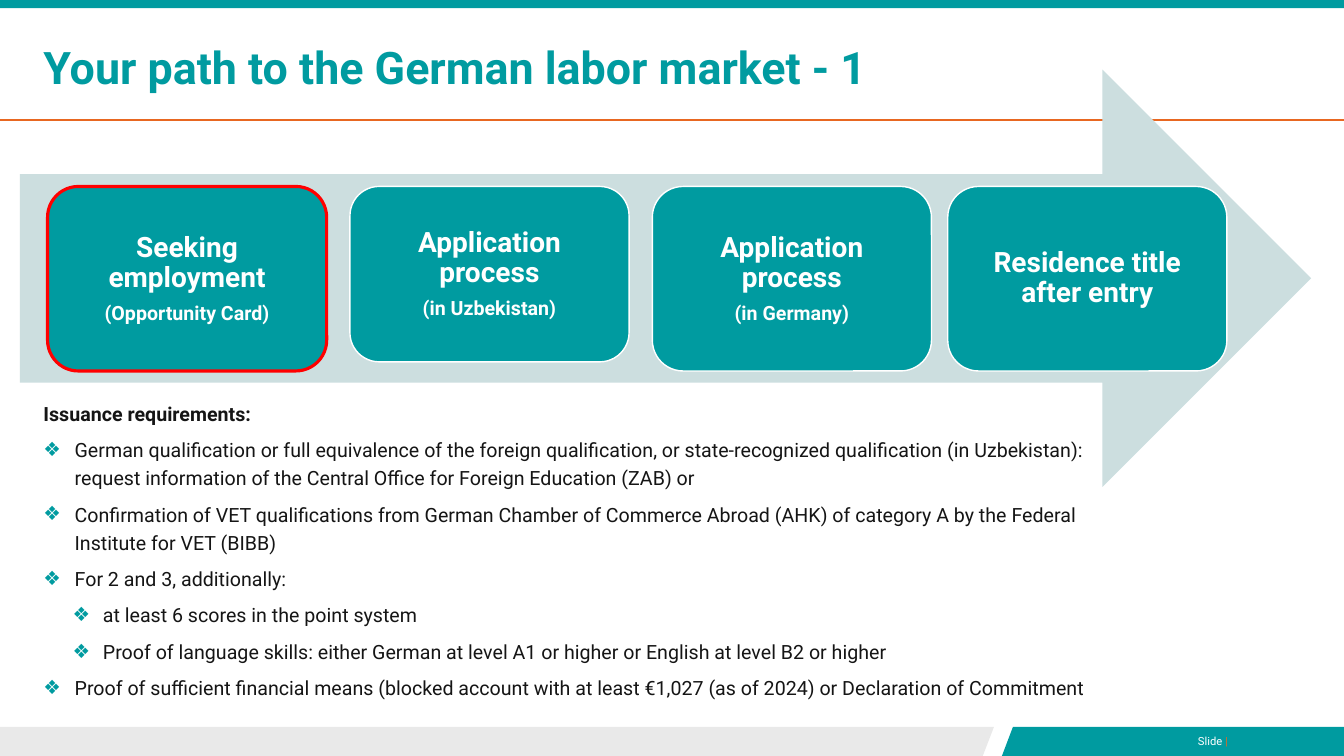
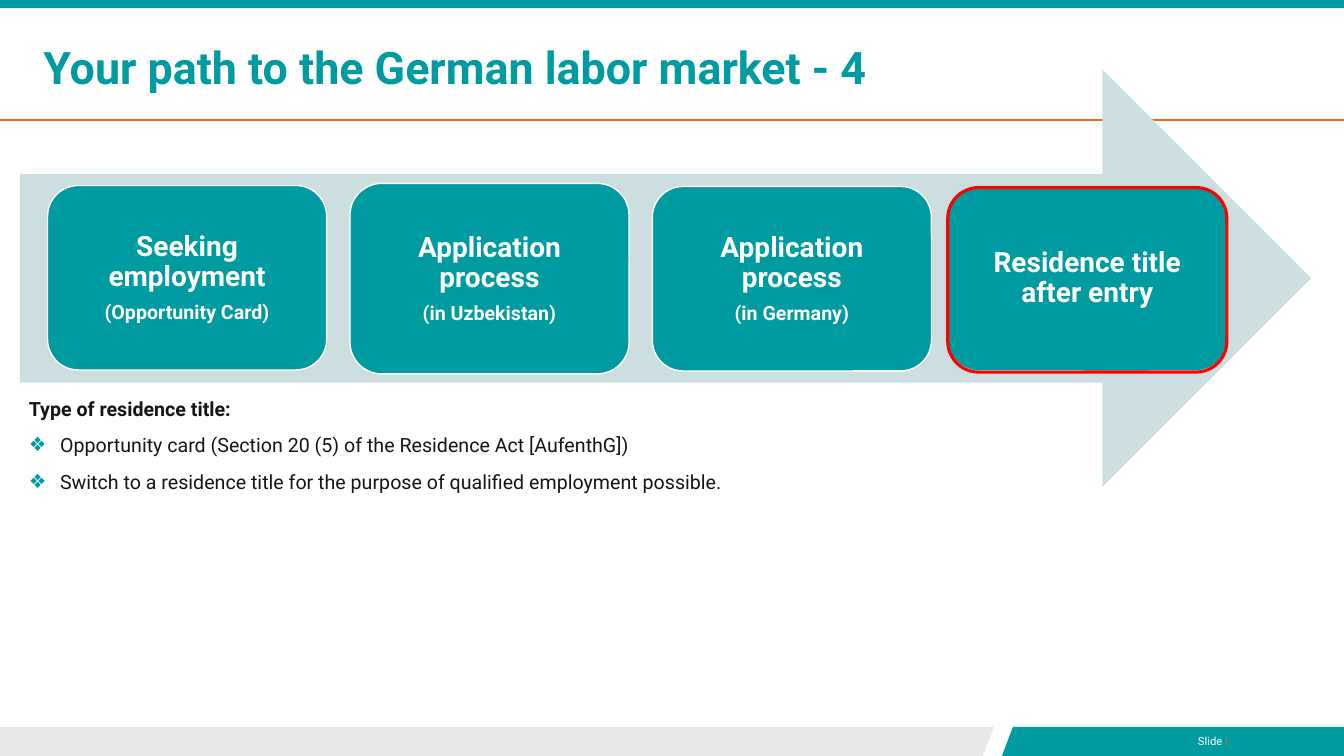
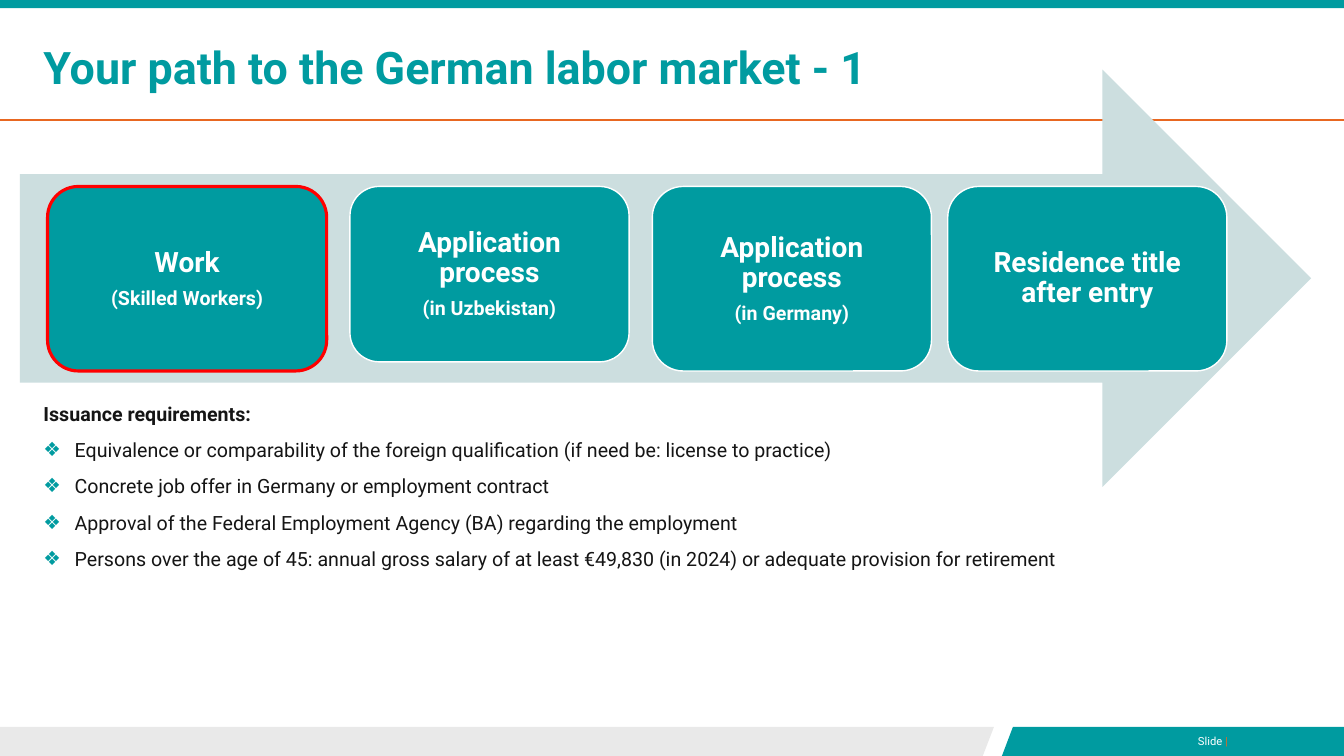
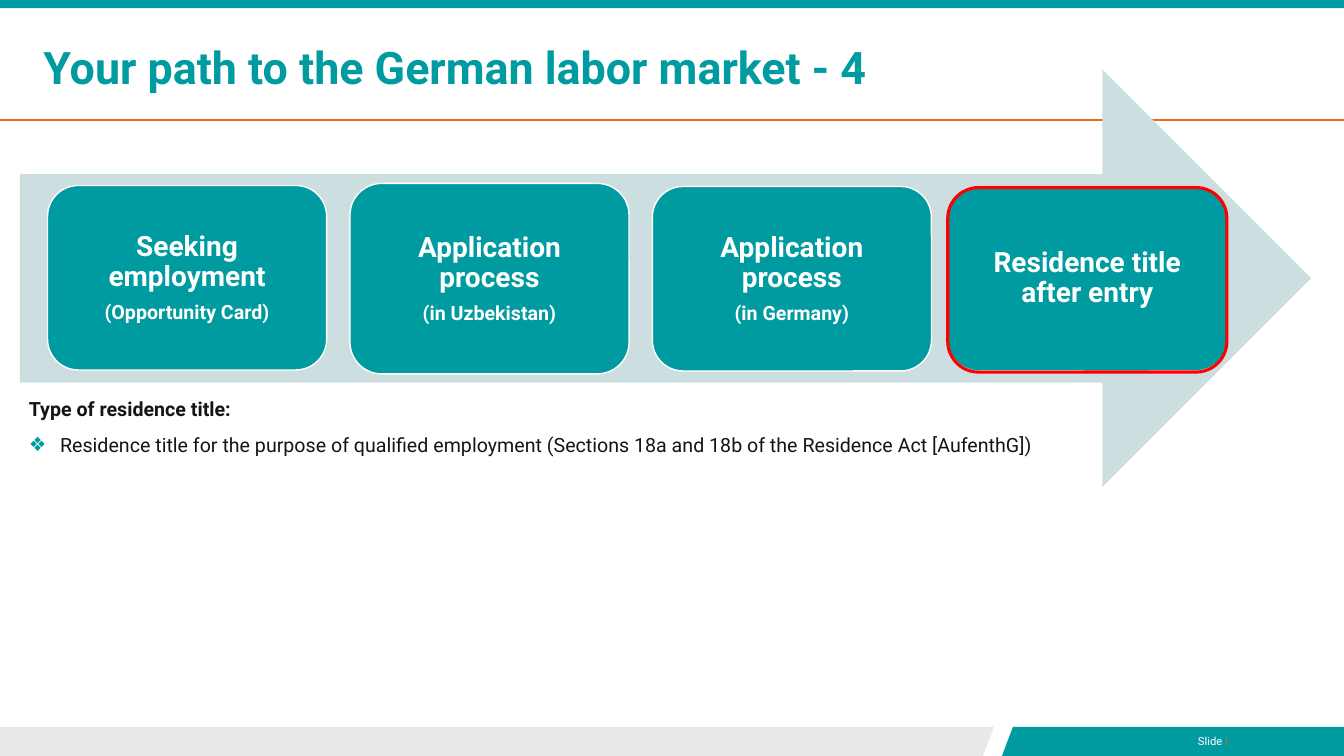
import dataclasses

import lxml.etree
import pptx
import pptx.dml.color
import pptx.enum.shapes
import pptx.enum.text
import pptx.oxml.ns
import pptx.util

Pt = pptx.util.Pt
qn = pptx.oxml.ns.qn
SHAPE = pptx.enum.shapes.MSO_SHAPE
ALIGN = pptx.enum.text.PP_ALIGN
ANCHOR = pptx.enum.text.MSO_ANCHOR
AUTO = pptx.enum.text.MSO_AUTO_SIZE


@dataclasses.dataclass(frozen=True)
class Theme:
    font: str = "Roboto"
    teal: str = "009BA0"
    orange: str = "E86721"
    pale: str = "CCDEDF"
    grey: str = "E9E9E9"
    white: str = "FFFFFF"
    ink: str = "151515"
    red: str = "FF0000"
    title: int = 32
    step: int = 20
    body: int = 14
    small: int = 8


T = Theme()
W, H = 960, 540

# Content: each step is (heading, note)
SEEKING = ("Seeking employment", "(Opportunity Card)")
WORK = ("Work", "(Skilled Workers)")
LATER_STEPS = [
    ("Application process", "(in Uzbekistan)"),
    ("Application process", "(in Germany)"),
    ("Residence title after entry", None),
]

# Body items are (level, text); "stage" names the step that is marked
SLIDES = [
    dict(stage="first", step=SEEKING, heading="Issuance requirements:", height=244, items=[
        (0, "German qualification or full equivalence of the foreign qualification, or "
            "state-recognized qualification (in Uzbekistan): request information of the "
            "Central Office for Foreign Education (ZAB) or"),
        (0, "Confirmation of VET qualifications from German Chamber of Commerce Abroad (AHK) "
            "of category A by the Federal Institute for VET (BIBB)"),
        (0, "For 2 and 3, additionally:"),
        (1, "at least 6 scores in the point system"),
        (1, "Proof of language skills: either German at level A1 or higher or English at "
            "level B2 or higher"),
        (0, "Proof of sufficient financial means (blocked account with at least €1,027 "
            "(as of 2024) or Declaration of Commitment"),
    ]),
    dict(stage="last", step=SEEKING, heading="Type of residence title:", height=78.5, items=[
        (0, "Opportunity card (Section 20 (5) of the Residence Act [AufenthG])"),
        (0, "Switch to a residence title for the purpose of qualified employment possible."),
    ]),
    dict(stage="first", step=WORK, heading="Issuance requirements:", height=131, items=[
        (0, "Equivalence or comparability of the foreign qualification (if need be: license "
            "to practice)"),
        (0, "Concrete job offer in Germany or employment contract"),
        (0, "Approval of the Federal Employment Agency (BA) regarding the employment"),
        (0, "Persons over the age of 45: annual gross salary of at least €49,830 (in 2024) "
            "or adequate provision for retirement"),
    ]),
    dict(stage="last", step=SEEKING, heading="Type of residence title:", height=52, items=[
        (0, "Residence title for the purpose of qualified employment (Sections 18a and 18b "
            "of the Residence Act [AufenthG])"),
    ]),
]

# Geometry
STEP_LEFT = [34, 250, 466, 677]
STEP_W, STEP_TOP, STEP_H = 199.4, 133.2, 131.8
STAGES = {
    "first": dict(number=1, marked=0, mark_top=STEP_TOP, body=(23.8, 280, 780),
                  tops={}, heights={1: 125.3}),
    "last": dict(number=4, marked=3, mark_top=134, body=(13.4, 276.5, 774),
                 tops={0: 132.5, 1: 131}, heights={1: 136.1}),
}
INDENTS = [(22.3, -22.3), (42.5, -21.6)]


def rgb(code):
    return pptx.dml.color.RGBColor.from_string(code)


def box(x, y, w, h):
    return [Pt(v) for v in (x, y, w, h)]


def style(sp, fill=None, line=None, width=1):
    sp.shadow.inherit = False
    if fill:
        sp.fill.solid()
        sp.fill.fore_color.rgb = rgb(fill)
    else:
        sp.fill.background()
    if line:
        sp.line.color.rgb = rgb(line)
        sp.line.width = Pt(width)
    else:
        sp.line.fill.background()
    return sp


def add_run(p, text, size, color, bold=False):
    r = p.add_run()
    r.text = text
    r.font.name, r.font.size, r.font.bold = T.font, Pt(size), bold
    r.font.color.rgb = rgb(color)


def paragraph(tf, i):
    return tf.paragraphs[0] if i == 0 else tf.add_paragraph()


def add_polygon(s, points, fill):
    pts = [(Pt(x), Pt(y)) for x, y in points]
    fb = s.shapes.build_freeform(*pts[0])
    fb.add_line_segments(pts[1:], close=True)
    return style(fb.convert_to_shape(), fill)


def add_frame(s, layout):
    """Bands, rule and footer label, placed on the layout for every slide."""
    top = 519.2
    parts = [
        add_polygon(s, [(710, top), (702, H), (0, H), (0, top)], T.grey),
        add_polygon(s, [(W, top), (W, H), (715.7, H), (723.6, top)], T.teal),
    ]
    label = s.shapes.add_textbox(*box(800, 521, 84.2, 17))
    label.text_frame.word_wrap = True
    p = label.text_frame.paragraphs[0]
    p.alignment = ALIGN.RIGHT
    add_run(p, "Slide ", T.small, T.white)
    add_run(p, "|", T.small, T.orange)
    band = style(s.shapes.add_shape(SHAPE.RECTANGLE, *box(0, 0, W, 5.8)), T.teal)
    rule = s.shapes.add_connector(pptx.enum.shapes.MSO_CONNECTOR.STRAIGHT,
                                  Pt(0), Pt(85.7), Pt(W), Pt(85.7))
    rule.line.color.rgb = rgb(T.orange)
    rule.line.width = Pt(1.25)
    lxml.etree.SubElement(rule.element.spPr, qn("a:effectLst"))
    parts += [label, band, rule]
    for i, sp in enumerate(parts):
        sp.element.xpath(".//p:cNvPr")[0].set("id", str(100 + i))
        layout.shapes.element.append(sp.element)


def fill_title(s, number):
    tf = s.shapes.title.text_frame
    tf.auto_size, tf.vertical_anchor = AUTO.NONE, ANCHOR.MIDDLE
    p = tf.paragraphs[0]
    p.alignment, p.line_spacing = ALIGN.LEFT, 0.9
    add_run(p, f"Your path to the German labor market - {number}", T.title, T.teal, True)


def set_bullet(p, level):
    """Teal diamond with a hanging indent; level None gives plain text."""
    pPr = p._p.get_or_add_pPr()
    left, hang = (0, 0) if level is None else INDENTS[level]
    pPr.set("marL", str(Pt(left)))
    pPr.set("indent", str(Pt(hang)))
    if level is None:
        lxml.etree.SubElement(pPr, qn("a:buNone"))
        return
    p.level = level
    color = lxml.etree.SubElement(pPr, qn("a:buClr"))
    lxml.etree.SubElement(color, qn("a:srgbClr")).set("val", T.teal)
    lxml.etree.SubElement(pPr, qn("a:buChar")).set("char", "❖")


def fill_body(s, place, height, heading, items):
    sp = s.placeholders[1]
    sp.left, sp.top, sp.width, sp.height = box(*place, height)
    tf = sp.text_frame
    tf.word_wrap, tf.auto_size = True, AUTO.SHAPE_TO_FIT_TEXT
    tf.vertical_anchor = ANCHOR.TOP
    for i, (level, text) in enumerate([(None, heading)] + items):
        p = paragraph(tf, i)
        set_bullet(p, level)
        p.alignment, p.line_spacing = ALIGN.LEFT, Pt(20)
        p.space_before, p.space_after = Pt(3 if i else 0), Pt(3)
        add_run(p, text, T.body, T.ink, level is None)


def add_step(s, place, heading, note):
    sp = style(s.shapes.add_shape(SHAPE.ROUNDED_RECTANGLE, *place), T.teal, T.white)
    tf = sp.text_frame
    tf.word_wrap, tf.vertical_anchor = True, ANCHOR.MIDDLE
    tf.margin_left = tf.margin_right = tf.margin_top = tf.margin_bottom = Pt(6)
    lines = [(heading, T.step)] + ([(note, T.body)] if note else [])
    for i, (text, size) in enumerate(lines):
        p = paragraph(tf, i)
        p.alignment, p.line_spacing, p.space_after = ALIGN.CENTER, 0.9, Pt(7)
        add_run(p, text, size, T.white, True)


def add_path(s, stage, first_step):
    """Wide arrow, four steps and the red mark around the current one."""
    style(s.shapes.add_shape(SHAPE.RIGHT_ARROW, *box(14.2, 49.8, 922.3, 298)), T.pale)
    for i, (heading, note) in enumerate([first_step] + LATER_STEPS):
        place = box(STEP_LEFT[i], stage["tops"].get(i, STEP_TOP),
                    STEP_W, stage["heights"].get(i, STEP_H))
        add_step(s, place, heading, note)
    mark = box(STEP_LEFT[stage["marked"]], stage["mark_top"], STEP_W, STEP_H)
    style(s.shapes.add_shape(SHAPE.ROUNDED_RECTANGLE, *mark), line=T.red, width=2.25)


def main():
    prs = pptx.Presentation()
    prs.slide_width, prs.slide_height = Pt(W), Pt(H)
    layout = prs.slide_layouts[1]
    title = layout.placeholders[0]
    title.left, title.top, title.width, title.height = box(23.8, 17.3, 722, 64.8)

    for i, data in enumerate(SLIDES):
        s = prs.slides.add_slide(layout)
        if i == 0:
            add_frame(s, layout)
        stage = STAGES[data["stage"]]
        fill_title(s, stage["number"])
        fill_body(s, stage["body"], data["height"], data["heading"], data["items"])
        add_path(s, stage, data["step"])
    prs.save("out.pptx")


if __name__ == "__main__":
    main()
